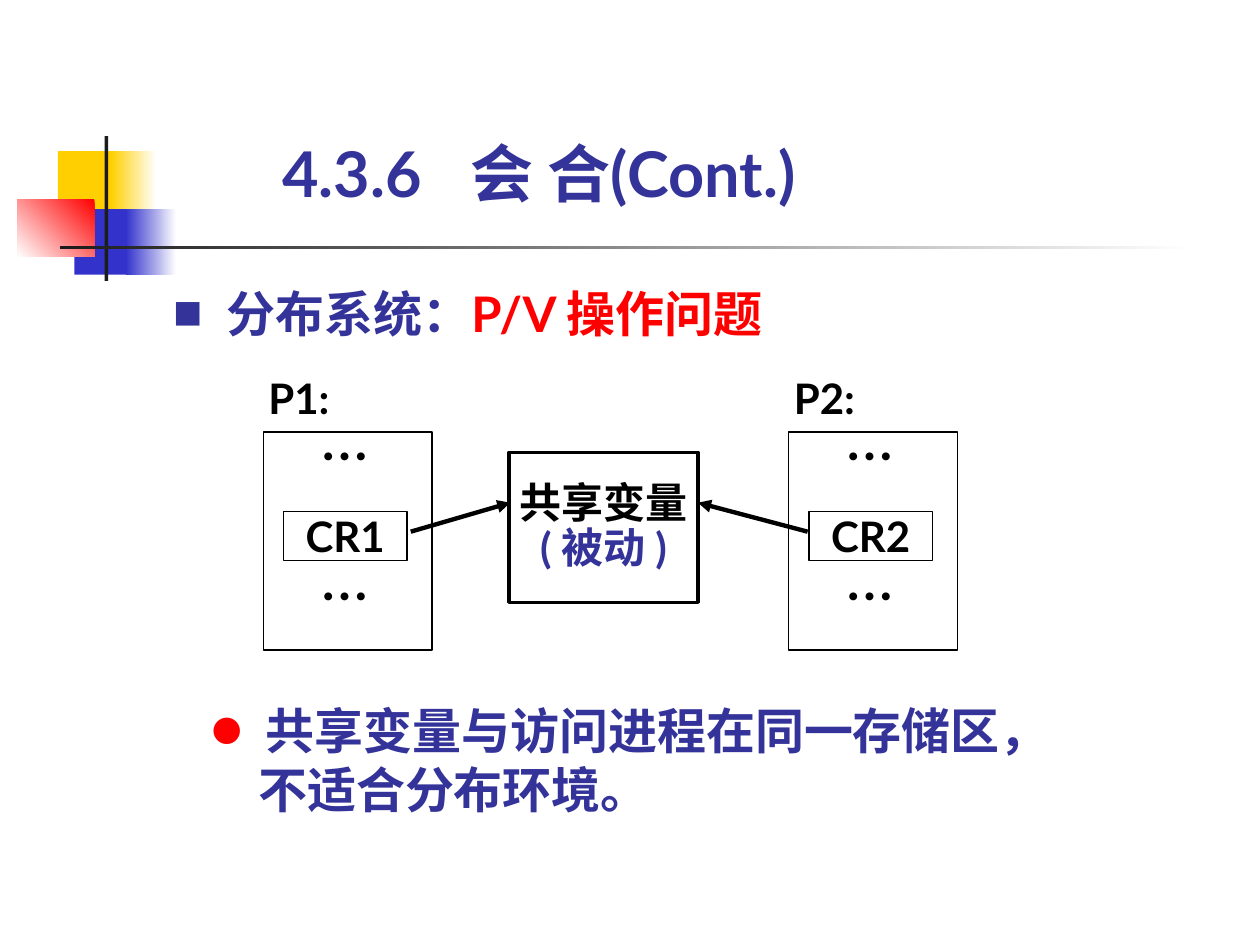
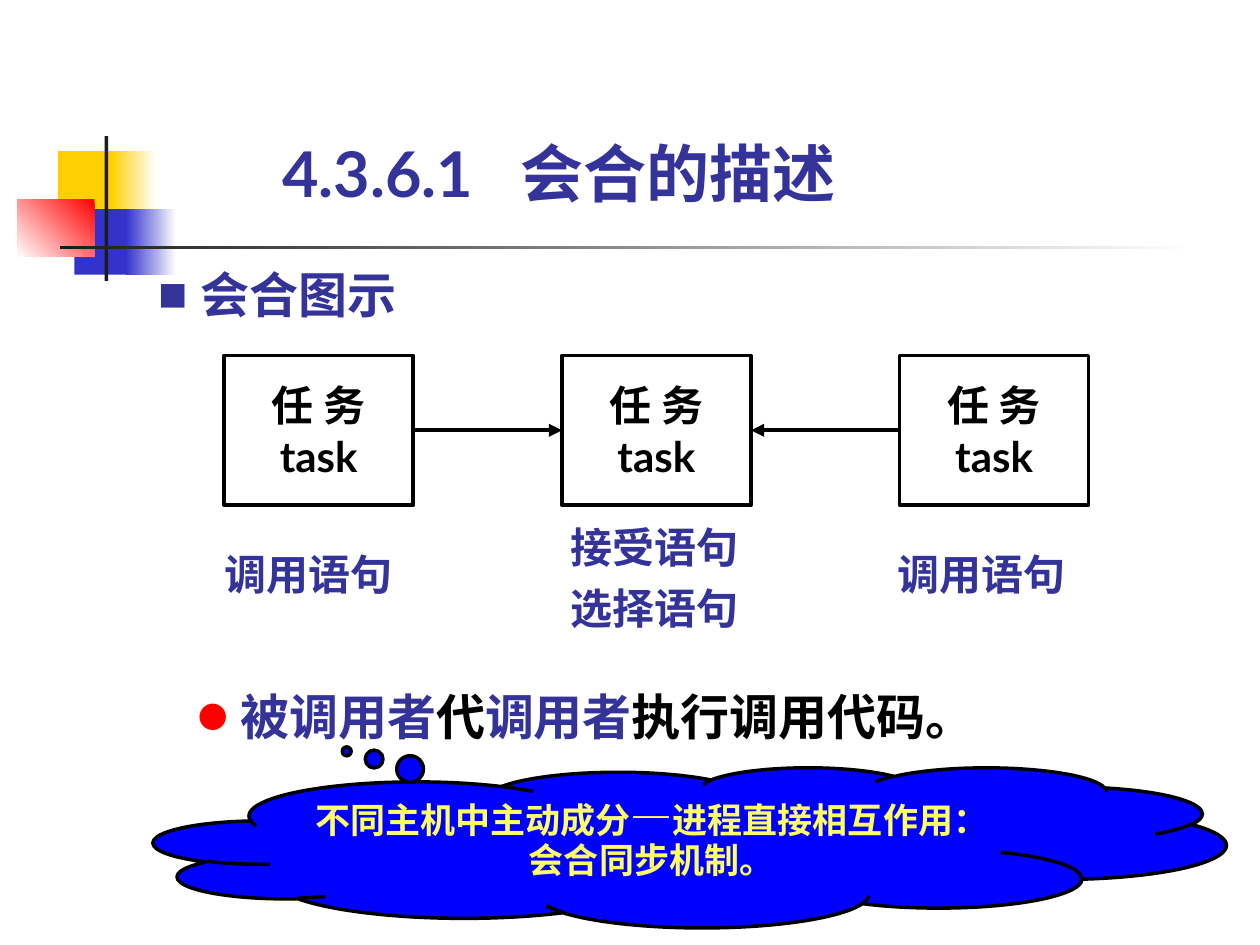
from dataclasses import dataclass
from typing import Any, Optional

import pptx
import pptx.dml.color
import pptx.enum.shapes
import pptx.enum.text
import pptx.oxml
import pptx.oxml.ns
import pptx.util
from pptx.util import Inches

INDIGO, BLACK, RED, WHITE = "333399", "000000", "FF0000", "FFFFFF"
YELLOW, BLUE, CHARCOAL = "FFCF01", "3333CC", "1C1C1C"
CLOUD_BLUE, CLOUD_TEXT = "0000FF", "FFFF66"
LATO, CJK = "Lato", "Noto Sans CJK SC"
SHAPES = pptx.enum.shapes.MSO_SHAPE
ANCHOR = pptx.enum.text.MSO_ANCHOR
CENTER = pptx.enum.text.PP_ALIGN.CENTER


@dataclass
class Box:
    left: float
    top: float
    width: float
    height: float

    def lengths(self) -> list[int]:
        return [Inches(v) for v in (self.left, self.top, self.width, self.height)]

    def moved(self, dx: float) -> "Box":
        return Box(self.left + dx, self.top, self.width, self.height)


@dataclass
class Run:
    text: str
    color: Optional[str] = None
    size: Optional[float] = None
    font: Optional[str] = None


@dataclass
class Para:
    runs: list[Run]
    bullet: str = ""
    bullet_color: str = INDIGO
    indent: float = 0
    tab: float = 0
    before: float = 0


@dataclass
class Band:
    box: Box
    color: str
    fade: str = ""
    angle: float = 180


# Corner motif and rule under the title
BANDS = [
    Band(Box(0.46, 1.2, 0.48, 0.52), YELLOW),
    Band(Box(0.88, 1.2, 0.36, 0.52), WHITE, YELLOW),
    Band(Box(0.59, 1.66, 0.46, 0.52), BLUE),
    Band(Box(1, 1.66, 0.4, 0.52), WHITE, BLUE),
    Band(Box(0.14, 1.58, 0.61, 0.46), RED, WHITE, 225),
    Band(Box(0.83, 1.08, 0.03, 1.15), CHARCOAL),
    Band(Box(0.48, 1.95, 9, 0.03), WHITE, CHARCOAL),
]


def rgb(color: str) -> pptx.dml.color.RGBColor:
    return pptx.dml.color.RGBColor.from_string(color)


def add_xml(parent: Any, tag: str, **attrs: str) -> Any:
    el = pptx.oxml.parse_xml(f"<a:{tag} {pptx.oxml.ns.nsdecls('a')}/>")
    for name, value in attrs.items():
        el.set(name, value)
    parent.append(el)
    return el


def format_para(p: Any, para: Para) -> None:
    """Add indent, bullet and tab stop to a paragraph."""
    pPr = p._p.get_or_add_pPr()
    if para.indent:
        pPr.set("marL", str(Inches(para.indent)))
    if para.bullet:
        pPr.set("indent", str(-Inches(para.indent)))
        add_xml(add_xml(pPr, "buClr"), "srgbClr", val=para.bullet_color)
        add_xml(pPr, "buSzPct", val="60000")
        add_xml(pPr, "buFont", typeface=CJK)
        add_xml(pPr, "buChar", char=para.bullet)
    if para.tab:
        add_xml(add_xml(pPr, "tabLst"), "tab", pos=str(Inches(para.tab)), algn="l")
    if para.before:
        p.space_before = pptx.util.Pt(para.before)


def write(sp: Any, content: str | list[Para], *, size: float = 24, color: str = INDIGO,
          font: str = LATO, align: Any = None, anchor: Any = ANCHOR.TOP,
          spacing: Optional[float] = None, wrap: bool = True,
          margins: tuple[float, float] = (0, 0)) -> None:
    paras = [Para([Run(content)])] if isinstance(content, str) else content
    tf = sp.text_frame
    tf.word_wrap = wrap
    tf.vertical_anchor = anchor
    tf.margin_left = tf.margin_right = Inches(margins[0])
    tf.margin_top = tf.margin_bottom = Inches(margins[1])
    for i, para in enumerate(paras):
        p = tf.add_paragraph() if i else tf.paragraphs[0]
        format_para(p, para)
        p.alignment = align
        p.line_spacing = spacing
        for run in para.runs:
            for j, line in enumerate(run.text.split("\n")):
                if j:
                    p.add_line_break()
                r = p.add_run()
                r.text = line
                r.font.size = pptx.util.Pt(run.size or size)
                r.font.bold = True
                r.font.name = run.font or font
                r.font.color.rgb = rgb(run.color or color)
                add_xml(r._r.get_or_add_rPr(), "ea", typeface=CJK)


def add_text(slide: Any, box: Box, content: str | list[Para], **fmt: Any) -> None:
    write(slide.shapes.add_textbox(*box.lengths()), content, **fmt)


def add_shape(slide: Any, box: Box, *, kind: Any = SHAPES.RECTANGLE,
              fill: str = "", line: float = 0) -> Any:
    sp = slide.shapes.add_shape(kind, *box.lengths())
    sp.shadow.inherit = False
    if fill:
        sp.fill.solid()
        sp.fill.fore_color.rgb = rgb(fill)
    else:
        sp.fill.background()
    if line:
        sp.line.color.rgb = rgb(BLACK)
        sp.line.width = pptx.util.Pt(line)
    else:
        sp.line.fill.background()
    return sp


def add_arrow(slide: Any, start: tuple[float, float] = (0, 0),
              end: tuple[float, float] = (0, 0)) -> Any:
    cx = slide.shapes.add_connector(pptx.enum.shapes.MSO_CONNECTOR.STRAIGHT,
                                    *(Inches(v) for v in (*start, *end)))
    cx.line.color.rgb = rgb(BLACK)
    cx.line.width = pptx.util.Pt(2.5)
    add_xml(cx.line._get_or_add_ln(), "tailEnd", type="triangle")
    add_xml(cx._element.spPr, "effectLst")
    return cx


def new_slide(prs: Any, number: str, title: str, tab: float) -> Any:
    """Start a slide with the corner motif and its numbered title."""
    slide = prs.slides.add_slide(prs.slide_layouts[6])
    for band in BANDS:
        sp = add_shape(slide, band.box, fill=band.color)
        if band.fade:
            sp.fill.gradient()
            sp.fill.gradient_angle = band.angle
            for stop, color in zip(sp.fill.gradient_stops, (band.color, band.fade)):
                stop.color.rgb = rgb(color)
    add_text(slide, Box(2.24, 1.07, 4.88, 0.6), [Para([Run(f"{number}\t{title}")], tab=tab)],
             size=36, anchor=ANCHOR.BOTTOM)
    return slide


def add_process(slide: Any, n: int, dx: float) -> None:
    """Draw one process with its critical region."""
    add_shape(slide, Box(2.09, 3.43, 1.34, 1.73).moved(dx), line=0.75)
    region = add_shape(slide, Box(2.25, 4.06, 0.98, 0.39).moved(dx), line=0.75)
    write(region, f"CR{n}", color=BLACK, align=CENTER, anchor=ANCHOR.MIDDLE, wrap=False)
    add_text(slide, Box(2.13, 2.96, 0.5, 0.4).moved(dx), f"P{n}:", color=BLACK)
    for top in (3.59, 4.7):
        add_text(slide, Box(2.4, top, 0.67, 0.23).moved(dx), "…", size=28, color=BLACK,
                 font=CJK, align=CENTER, spacing=0.5)


def build_shared_variable(prs: Any) -> None:
    slide = new_slide(prs, "4.3.6", "会 合(Cont.)", 1.49)
    add_text(slide, Box(1.38, 2.25, 5.2, 0.47),
             [Para([Run("分布系统："), Run("P/V 操作问题", RED)], "■", indent=0.42)], size=28)
    add_text(slide, Box(1.69, 5.56, 6.93, 0.93),
             [Para([Run("共享变量与访问进程在同一存储区，")], "●", RED, 0.42),
              Para([Run("不适合分布环境。")], indent=0.36)], size=28)

    # Two processes reaching one passive variable
    variable = add_shape(slide, Box(4.04, 3.59, 1.5, 1.19), line=2)
    write(variable, [Para([Run("共享变量", BLACK)]), Para([Run("( 被动 )")])],
          align=CENTER, anchor=ANCHOR.MIDDLE, spacing=0.9, margins=(0, 0.24))
    for n, dx in ((1, 0), (2, 4.17)):
        add_process(slide, n, dx)
    add_arrow(slide, (3.26, 4.22), (4.05, 3.99))
    add_arrow(slide, (6.41, 4.22), (5.54, 3.99))


def build_rendezvous(prs: Any) -> None:
    slide = new_slide(prs, "4.3.6.1", "会合的描述", 1.89)
    add_text(slide, Box(1.26, 2.1, 2.24, 0.47), [Para([Run("会合图示")], "■", indent=0.33)],
             size=28, anchor=ANCHOR.BOTTOM)
    add_text(slide, Box(1.48, 5.4, 6.67, 0.57),
             [Para([Run("被调用者"), Run("代", BLACK), Run("调用者"),
                    Run("执行调用代码。", BLACK)], "●", RED, 0.33)],
             size=28, margins=(0.1, 0.05))

    # Callers on both sides of the accepting task
    tasks = []
    for i in range(3):
        task = add_shape(slide, Box(1.78 + 2.68 * i, 2.82, 1.5, 1.19), line=2)
        write(task, [Para([Run("任 务", font=CJK)]), Para([Run("task")])], color=BLACK,
              align=CENTER, anchor=ANCHOR.MIDDLE, margins=(0, 0.2))
        tasks.append(task)
    for caller, out_side, in_side in ((tasks[0], 3, 1), (tasks[2], 1, 3)):
        arrow = add_arrow(slide)
        arrow.begin_connect(caller, out_side)
        arrow.end_connect(tasks[1], in_side)

    # Statements each task uses
    for left in (1.78, 7.12):
        add_text(slide, Box(left, 4.35, 1.58, 0.4), "调用语句")
    add_text(slide, Box(4.53, 4.14, 1.58, 0.88),
             [Para([Run("接受语句")]), Para([Run("选择语句")], before=6)])

    # Remark cloud
    cloud = add_shape(slide, Box(1.22, 6.09, 8.51, 1.27), kind=SHAPES.CLOUD_CALLOUT,
                      fill=CLOUD_BLUE, line=2)
    cloud.adjustments[0], cloud.adjustments[1] = -0.32, -0.6
    write(cloud, [Para([Run("不同主机中主动成分"), Run("—", size=24),
                        Run("进程直接相互作用：\n会合同步机制。")])],
          size=20, color=CLOUD_TEXT, align=CENTER, spacing=0.9, margins=(0.1, 0.05))


def main() -> None:
    prs = pptx.Presentation()
    prs.slide_width, prs.slide_height = Inches(10), Inches(7.5)
    build_shared_variable(prs)
    build_rendezvous(prs)
    prs.save("out.pptx")


if __name__ == "__main__":
    main()
